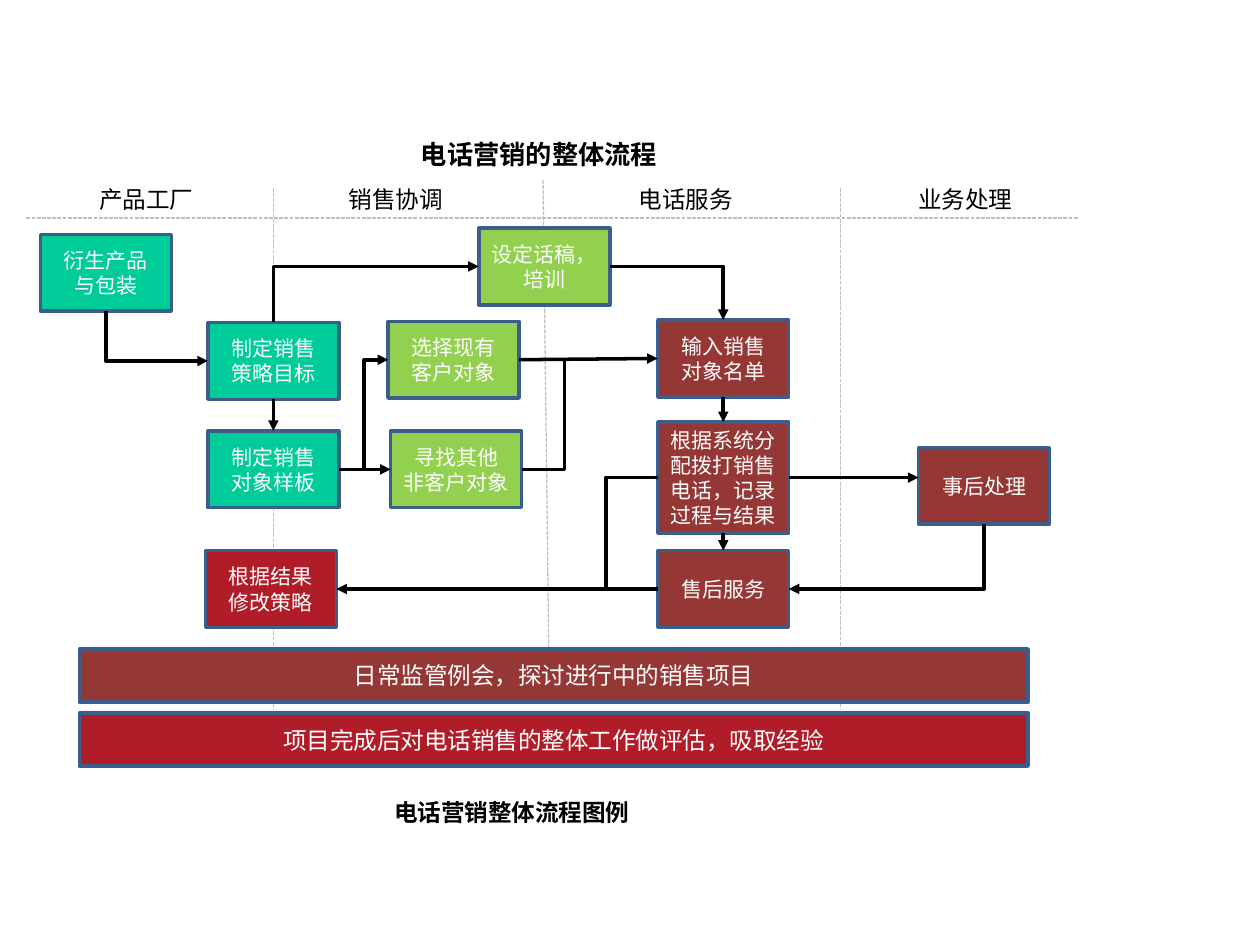
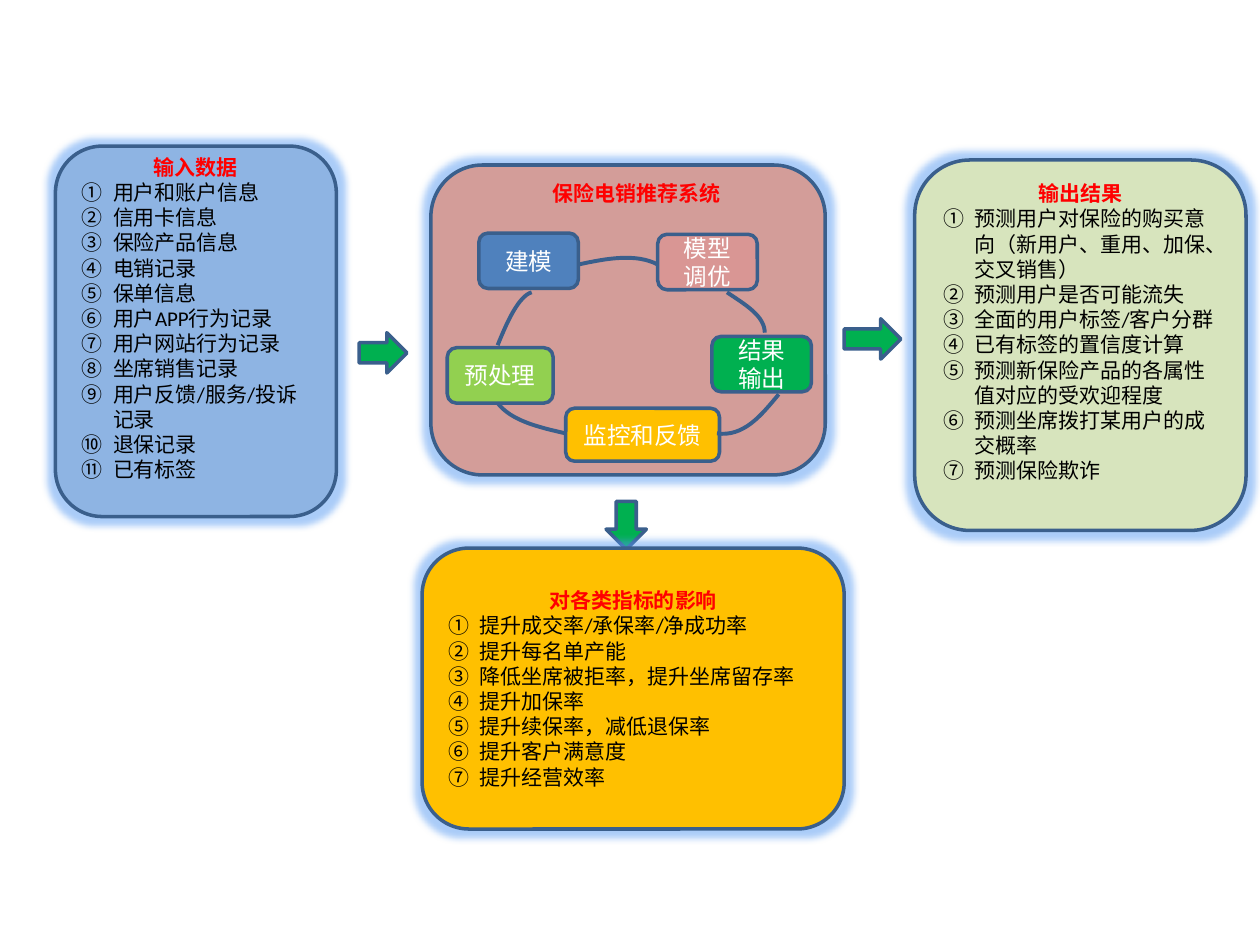
import pptx
import pptx.dml.color
import pptx.enum.dml
import pptx.enum.shapes
import pptx.enum.text
import pptx.oxml.ns
import pptx.oxml.xmlchemy
import pptx.util

Inches = pptx.util.Inches
SHAPE = pptx.enum.shapes.MSO_SHAPE
ALIGN = pptx.enum.text.PP_ALIGN
ANCHOR = pptx.enum.text.MSO_ANCHOR
FONT = "Calibri"
EDGE, BLACK, WHITE, RED, GREY = "3A5F8C", "000000", "FFFFFF", "FF0000", "BFBFBF"
TEAL, LIME, BROWN, WINE = "00CC99", "92D050", "953735", "B01C27"
GREEN, GOLD = "00B050", "FFC000"
TOP, LEFT, BOTTOM, RIGHT = range(4)
SIDES = [(0.5, 0), (0, 0.5), (0.5, 1), (1, 0.5)]
GLOW = "5599F2"


def rgb(code):
    return pptx.dml.color.RGBColor.from_string(code)


def add_xml(parent, tag, **attrs):
    child = pptx.oxml.xmlchemy.OxmlElement(tag)
    for name, value in attrs.items():
        child.set(name, value)
    parent.append(child)
    return child


def spot(end):
    """Point in EMU of an end: (x, y) in inches, or (shape, side)."""
    if isinstance(end[0], (int, float)):
        return Inches(end[0]), Inches(end[1])
    shape, side = end
    across, down = SIDES[side]
    return (int(shape.left + across * shape.width),
            int(shape.top + down * shape.height))


class Deck:
    def __init__(self):
        self.show = pptx.Presentation()
        self.show.slide_width = Inches(10)
        self.show.slide_height = Inches(7.5)
        self.slide = None

    def page(self, layout):
        self.slide = self.show.slides.add_slide(self.show.slide_layouts[layout])

    def style(self, para, size, color, bold=False, align=ALIGN.CENTER):
        para.alignment = align
        font = para.font
        font.name, font.size, font.bold = FONT, pptx.util.Pt(size), bold
        font.color.rgb = rgb(color)

    def title(self, box, text):
        shape = self.slide.shapes.title
        shape.left, shape.top, shape.width, shape.height = map(Inches, box)
        frame = shape.text_frame
        frame.text = text
        frame.vertical_anchor = ANCHOR.TOP
        self.style(frame.paragraphs[0], 15, BLACK, True, ALIGN.LEFT)

    def label(self, box, text, bold=False):
        frame = self.slide.shapes.add_textbox(*map(Inches, box)).text_frame
        frame.word_wrap = True
        frame.text = text
        self.style(frame.paragraphs[0], 13.5, BLACK, bold, ALIGN.LEFT)

    def block(self, kind, box, fill):
        shape = self.slide.shapes.add_shape(kind, *map(Inches, box))
        shape.shadow.inherit = False
        shape.fill.solid()
        shape.fill.fore_color.rgb = rgb(fill)
        shape.line.color.rgb = rgb(EDGE)
        shape.line.width = pptx.util.Pt(2)
        return shape

    def node(self, box, text, fill, size=12, kind=SHAPE.RECTANGLE):
        shape = self.block(kind, box, fill)
        frame = shape.text_frame
        frame.word_wrap = True
        frame.vertical_anchor = ANCHOR.MIDDLE
        frame.text = text
        for para in frame.paragraphs:
            self.style(para, size, WHITE)
        return shape

    def panel(self, box, fill, head, items=(), foot=0.0):
        """Glowing panel with a red heading and a circled-number list."""
        shape = self.block(SHAPE.ROUNDED_RECTANGLE, box, fill)
        effects = shape.element.spPr.find(pptx.oxml.ns.qn("a:effectLst"))
        glow = add_xml(effects, "a:glow", rad="101600")
        color = add_xml(glow, "a:srgbClr", val=GLOW)
        add_xml(color, "a:alpha", val="50000")
        frame = shape.text_frame
        frame.word_wrap = True
        frame.vertical_anchor = ANCHOR.MIDDLE if items else ANCHOR.TOP
        frame.margin_top, frame.margin_bottom = 0, Inches(foot)
        frame.text = head
        self.style(frame.paragraphs[0], 12, RED, True)
        for item in items:
            para = frame.add_paragraph()
            para.text = item
            props = para._p.get_or_add_pPr()
            props.set("marL", str(Inches(0.25)))
            props.set("indent", str(-Inches(0.25)))
            add_xml(props, "a:buFont", typeface="+mj-ea")
            add_xml(props, "a:buAutoNum", type="circleNumDbPlain")
            self.style(para, 12, BLACK, align=ALIGN.LEFT)
        return frame

    def line(self, start, end, color=BLACK, width=2, arrow="a:tailEnd",
             bend=False, dash=None):
        """Connector; a bent one leaves start sideways and meets end upright."""
        kinds = pptx.enum.shapes.MSO_CONNECTOR
        kind = kinds.ELBOW if bend else kinds.STRAIGHT
        link = self.slide.shapes.add_connector(kind, *spot(start), *spot(end))
        for tip, join in ((start, link.begin_connect), (end, link.end_connect)):
            if not isinstance(tip[0], (int, float)):
                join(*tip)
        link.line.color.rgb = rgb(color)
        link.line.width = pptx.util.Pt(width)
        if dash:
            link.line.dash_style = dash
        props = link.element.spPr
        if bend:
            props.find(pptx.oxml.ns.qn("a:prstGeom")).set("prst", "bentConnector2")
        if arrow:
            add_xml(props.find(pptx.oxml.ns.qn("a:ln")), arrow, type="triangle")
        add_xml(props, "a:effectLst")

    def curve(self, *knots, steps=16):
        """Open cubic curve through four control points."""
        dots = []
        for step in range(steps + 1):
            t = step / steps
            parts = ((1 - t) ** 3, 3 * t * (1 - t) ** 2, 3 * t * t * (1 - t), t ** 3)
            dots.append(tuple(Inches(sum(w * k[axis] for w, k in zip(parts, knots)))
                              for axis in (0, 1)))
        path = self.slide.shapes.build_freeform(*dots[0])
        path.add_line_segments(dots[1:], close=False)
        shape = path.convert_to_shape()
        shape.shadow.inherit = False
        shape.fill.background()
        shape.line.color.rgb = rgb(EDGE)
        shape.line.width = pptx.util.Pt(2.25)


def draw_flow(deck):
    deck.page(5)
    deck.title((3.24, 1.05, 2.47, 0.35), "电话营销的整体流程")
    dash = pptx.enum.dml.MSO_LINE.SQUARE_DOT
    for start, end in (((0.21, 1.73), (8.56, 1.73)), ((2.17, 1.49), (2.17, 5.63)),
                       ((4.31, 1.43), (4.36, 5.53)), ((6.67, 1.49), (6.67, 5.63))):
        deck.line(start, end, GREY, 0.75, arrow=None, dash=dash)

    def step(x, y, text, fill, high=0.61):
        return deck.node((x, y, 1.04, high), text, fill)

    goods = step(0.32, 1.86, "衍生产品\n与包装", TEAL)
    script = step(3.8, 1.81, "设定话稿，培训", LIME)
    goal = step(1.65, 2.56, "制定销售\n策略目标", TEAL)
    model = step(1.65, 3.42, "制定销售\n对象样板", TEAL)
    revise = step(1.63, 4.37, "根据结果\n修改策略", WINE)
    other = step(3.1, 3.42, "寻找其他\n非客户对象", LIME)
    client = step(3.08, 2.55, "选择现有\n客户对象", LIME)
    names = step(5.22, 2.54, "输入销售\n对象名单", BROWN)
    call = step(5.22, 3.35, "根据系统分配拨打销售电话，记录过程与结果", BROWN, 0.88)
    after = step(7.29, 3.55, "事后处理", BROWN)
    service = step(5.22, 4.37, "售后服务", BROWN)
    for y, text, fill in ((5.15, "日常监管例会，探讨进行中的销售项目", BROWN),
                          (5.66, "项目完成后对电话销售的整体工作做评估，吸取经验", WINE)):
        deck.node((0.63, y, 7.53, 0.42), text, fill, 13.5)

    for start, end in (((goal, BOTTOM), (model, TOP)),
                       ((call, RIGHT), (7.29, 3.79)),
                       ((service, LEFT), (revise, RIGHT)),
                       ((names, BOTTOM), (call, TOP)),
                       ((call, BOTTOM), (service, TOP)),
                       ((client, RIGHT), (names, LEFT)),
                       ((model, RIGHT), (other, LEFT))):
        deck.line(start, end)
    for start, end, arrow in (((goal, LEFT), (goods, BOTTOM), "a:headEnd"),
                              ((script, LEFT), (goal, TOP), "a:headEnd"),
                              ((script, RIGHT), (names, TOP), "a:tailEnd"),
                              ((service, RIGHT), (after, BOTTOM), "a:headEnd"),
                              ((call, LEFT), (4.81, 4.68), None),
                              ((other, RIGHT), (4.48, 2.86), None),
                              ((client, LEFT), (2.89, 3.72), "a:headEnd")):
        deck.line(start, end, arrow=arrow, bend=True)

    for x, text in ((0.69, "产品工厂"), (2.67, "销售协调"),
                    (4.97, "电话服务"), (7.19, "业务处理")):
        deck.label((x, 1.42, 1.35, 0.33), text)
    deck.label((3.03, 6.28, 2.4, 0.33), "电话营销整体流程图例", True)


def draw_system(deck):
    deck.page(6)
    deck.panel((0.44, 1.16, 2.23, 2.94), "8EB4E3", "输入数据", (
        "用户和账户信息", "信用卡信息", "保险产品信息", "电销记录", "保单信息",
        "用户APP行为记录", "用户网站行为记录", "坐席销售记录",
        "用户反馈/服务/投诉记录", "退保记录", "已有标签"), foot=0.21)
    core = deck.panel((3.42, 1.31, 3.13, 2.46), "D39D99", "保险电销推荐系统")
    core.margin_left = Inches(0.24)
    for box, text, fill in (((5.22, 1.86, 0.79, 0.44), "模型调优", "D99694"),
                            ((3.55, 2.76, 0.84, 0.44), "预处理", LIME),
                            ((4.49, 3.24, 1.22, 0.42), "监控和反馈", GOLD),
                            ((3.8, 1.85, 0.79, 0.44), "建模", "4F81BD"),
                            ((5.65, 2.67, 0.79, 0.44), "结果输出", GREEN)):
        deck.node(box, text, fill, 13.5, SHAPE.ROUNDED_RECTANGLE)
    deck.curve((4.59, 2.1), (4.82, 2.05), (5.05, 2.01), (5.22, 2.1))
    deck.curve((6.18, 3.13), (6.04, 3.3), (5.9, 3.47), (5.69, 3.44))
    deck.curve((4.49, 3.44), (4.27, 3.39), (4.06, 3.34), (3.95, 3.2))
    deck.curve((3.95, 2.74), (4.03, 2.54), (4.12, 2.35), (4.22, 2.32))
    deck.curve((5.77, 2.32), (5.92, 2.42), (6.07, 2.51), (6.07, 2.64))
    deck.block(SHAPE.RIGHT_ARROW, (2.85, 2.64, 0.38, 0.32), GREEN)
    deck.block(SHAPE.RIGHT_ARROW, (6.7, 2.53, 0.45, 0.32), GREEN)
    deck.panel((7.26, 1.27, 2.63, 2.94), "D7E4BD", "输出结果", (
        "预测用户对保险的购买意向（新用户、重用、加保、交叉销售）",
        "预测用户是否可能流失", "全面的用户标签/客户分群", "已有标签的置信度计算",
        "预测新保险产品的各属性值对应的受欢迎程度",
        "预测坐席拨打某用户的成交概率", "预测保险欺诈"), foot=0.21)
    deck.block(SHAPE.DOWN_ARROW, (4.81, 3.98, 0.32, 0.38), GREEN)
    deck.panel((3.35, 4.35, 3.35, 2.23), GOLD, "对各类指标的影响", (
        "提升成交率/承保率/净成功率", "提升每名单产能",
        "降低坐席被拒率，提升坐席留存率", "提升加保率", "提升续保率，减低退保率",
        "提升客户满意度", "提升经营效率"))


def main():
    deck = Deck()
    draw_flow(deck)
    draw_system(deck)
    deck.show.save("out.pptx")


if __name__ == "__main__":
    main()
